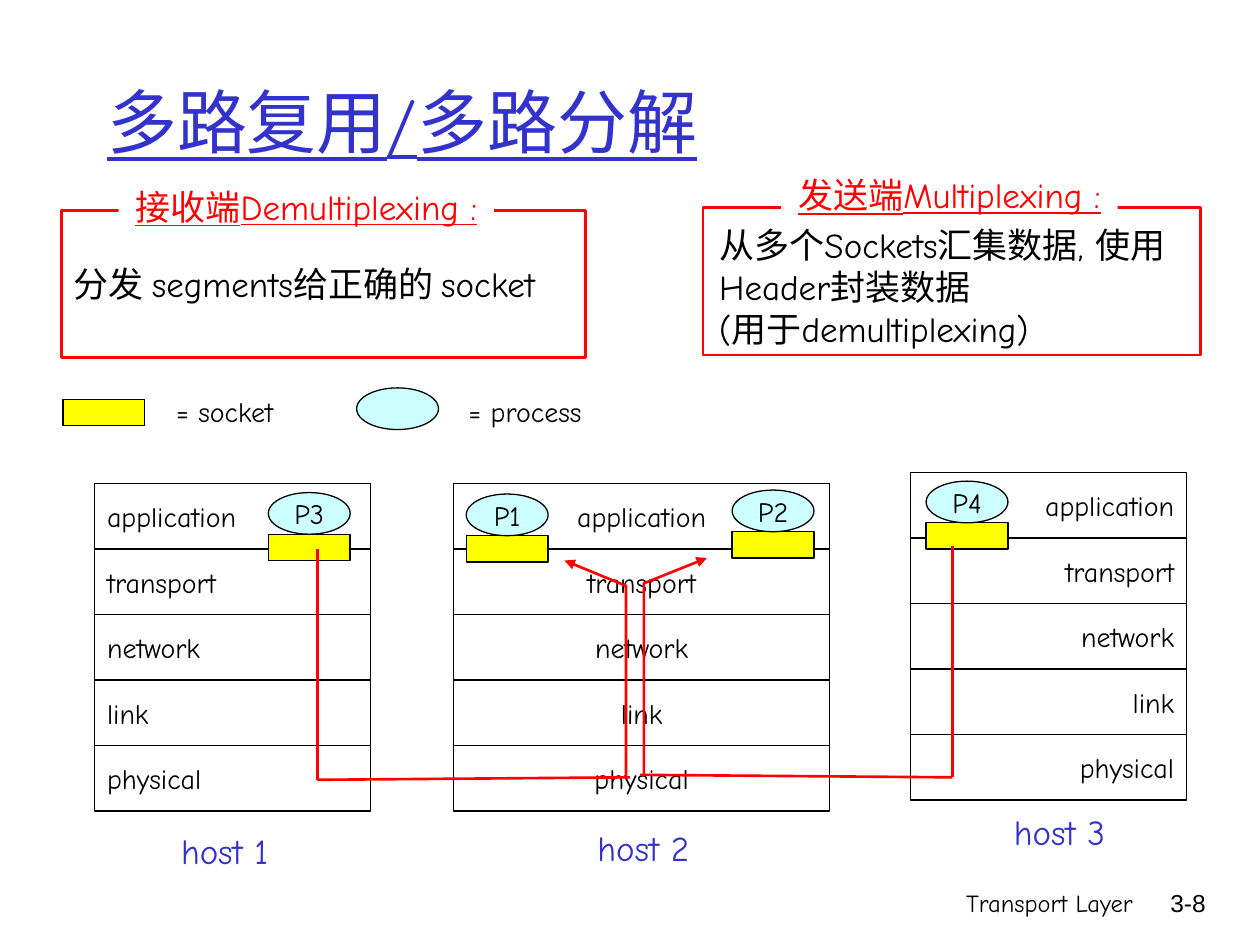
from lxml import etree
from pptx import Presentation, util as u
from pptx.dml.color import RGBColor
from pptx.enum import shapes, text
from pptx.oxml import ns

THEME = {
    "font": "Comic Neue", "number_font": "Arial",
    "black": RGBColor(0, 0, 0), "white": RGBColor(255, 255, 255),
    "blue": RGBColor(0x33, 0x33, 0xCC), "red": RGBColor(255, 0, 0),
    "yellow": RGBColor(255, 255, 0), "cyan": RGBColor(0xCC, 255, 255),
    "title": u.Pt(40), "body": u.Pt(20), "label": u.Pt(16), "footer": u.Pt(14),
    "thin": u.Pt(0.75), "thick": u.Pt(1.5),
}
Cm = u.Cm
RECT, OVAL = shapes.MSO_SHAPE.RECTANGLE, shapes.MSO_SHAPE.OVAL
LEFT, CENTER, RIGHT = text.PP_ALIGN.LEFT, text.PP_ALIGN.CENTER, text.PP_ALIGN.RIGHT
TOP, MIDDLE = text.MSO_ANCHOR.TOP, text.MSO_ANCHOR.MIDDLE
FIT = text.MSO_AUTO_SIZE.SHAPE_TO_FIT_TEXT

prs = Presentation()
prs.slide_width, prs.slide_height = Cm(25.4), Cm(19.05)
slide = prs.slides.add_slide(prs.slide_layouts[6])


def add_box(box, kind=None, fill=None, line=None, width="thin"):
    """Add a preset shape, or a text box when no kind is given."""
    place = [Cm(v) for v in box]
    if kind is None:
        return slide.shapes.add_textbox(*place)
    s = slide.shapes.add_shape(kind, *place)
    s.shadow.inherit = False
    for part, color in ((s.fill, fill), (s.line.fill, line)):
        if color:
            part.solid()
            part.fore_color.rgb = THEME[color]
        else:
            part.background()
    if line:
        s.line.width = THEME[width]
    return s


def write(s, lines, size="label", color="black", align=LEFT, anchor=TOP,
          wrap=False, fit=False, underline=False, font="font"):
    """Fill a shape with paragraphs in one format."""
    tf = s.text_frame
    frame_format = {"word_wrap": wrap, "vertical_anchor": anchor,
                    "auto_size": FIT if fit else text.MSO_AUTO_SIZE.NONE}
    for name, value in frame_format.items():
        setattr(tf, name, value)
    font_format = {"name": THEME[font], "size": THEME[size], "underline": underline}
    for i, line in enumerate(lines):
        p = tf.paragraphs[0] if i == 0 else tf.add_paragraph()
        p.alignment = align
        r = p.add_run()
        r.text = line
        for name, value in font_format.items():
            setattr(r.font, name, value)
        r.font.color.rgb = THEME[color]


# Footer and title
write(add_box((15.04, 17.78, 8.05, 1.27)), ["Transport Layer"], "footer",
      align=RIGHT, wrap=True)
write(add_box((22.68, 17.78, 1.88, 1.27)), ["3-8"], "footer",
      align=RIGHT, wrap=True, font="number_font")
write(add_box((1.91, 0.84, 21.59, 3.18)), ["多路复用/多路分解"], "title", "blue",
      anchor=MIDDLE, wrap=True, underline=True)

# Protocol stacks: left, top, width, alignment, host name and its place
layers = ["application", "transport", "network", "link", "physical"]
row = 1.32
hosts = [
    (1.91, 9.75, 5.56, LEFT, "host 1", (3.4, 16.59, 2.26, 1.12)),
    (18.36, 9.53, 5.56, RIGHT, "host 3", (20.19, 16.21, 2.34, 1.12)),
    (9.14, 9.75, 7.59, CENTER, "host 2", (11.79, 16.54, 2.36, 1.12)),
]
for x, y, w, align, host, place in hosts:
    for i, layer in enumerate(layers):
        s = add_box((x, y + i * row, w, row), RECT, "white", "black")
        write(s, [layer], align=align, anchor=MIDDLE)
    write(add_box(place), [host], "body", "blue", CENTER, fit=True)

# Processes, each on its socket
socket_w, socket_h, process_h = 1.65, 0.53, 0.84
processes = [("P2", 14.76, 9.88), ("P3", 5.41, 9.93),
             ("P4", 18.67, 9.7), ("P1", 9.4, 9.96)]
for process, x, y in processes:
    add_box((x, y + process_h, socket_w, socket_h), RECT, "yellow", "black")
    s = add_box((x, y, socket_w, process_h), OVAL, "cyan", "black")
    write(s, [process], align=CENTER, anchor=MIDDLE)

# Legend
add_box((1.27, 8.05, socket_w, socket_h), RECT, "yellow", "black")
add_box((7.19, 7.82, socket_w, process_h), OVAL, "cyan", "black")
for label, x, w in (("= socket", 3.3, 2.46), ("= process", 9.19, 2.79)):
    write(add_box((x, 7.82, w, 0.94)), [label], align=CENTER, fit=True)

# Framed definitions with headings set into the top edge
s = add_box((1.24, 4.24, 10.57, 2.97), RECT, line="red", width="thick")
write(s, ["分发 segments给正确的 socket"], "body", anchor=MIDDLE)
write(add_box((14.25, 4.37, 9.88, 2.79)),
      ["从多个Sockets汇集数据, 使用Header封装数据", "(用于demultiplexing)"],
      "body", wrap=True, fit=True)
add_box((14.17, 4.19, 10.03, 2.97), RECT, line="red", width="thick")
headings = [("接收端Demultiplexing :", (2.39, 3.61, 7.57, 1.12)),
            ("发送端Multiplexing :", (15.75, 3.38, 6.78, 1.12))]
for heading, place in headings:
    write(add_box(place, RECT, "white"), [heading], "body", "red", CENTER,
          fit=True, underline=True)

# Straight parts of the two data routes
legs = [(6.4, 11.07, 6.4, 15.72), (6.4, 15.72, 12.7, 15.67),
        (19.2, 11, 19.2, 15.67), (19.2, 15.67, 12.9, 15.62)]
for leg in legs:
    s = slide.shapes.add_connector(shapes.MSO_CONNECTOR.STRAIGHT, *[Cm(v) for v in leg])
    s.line.color.rgb = THEME["red"]
    s.line.width = THEME["thick"]
    etree.SubElement(s._element.spPr, ns.qn("a:effectLst"))

# Bent arrows up to the sockets of host 2
arrows = [[(12.62, 15.67), (12.62, 11.81), (11.38, 11.3)],
          [(12.98, 15.6), (12.98, 11.76), (14.25, 11.25)]]
for arrow in arrows:
    start, *rest = [(Cm(x), Cm(y)) for x, y in arrow]
    path = slide.shapes.build_freeform(*start)
    path.add_line_segments(rest, close=False)
    s = path.convert_to_shape()
    s.shadow.inherit = False
    s.fill.background()
    s.line.color.rgb = THEME["red"]
    s.line.width = THEME["thick"]
    etree.SubElement(s.line._get_or_add_ln(), ns.qn("a:tailEnd"), type="triangle")

prs.save("out.pptx")
